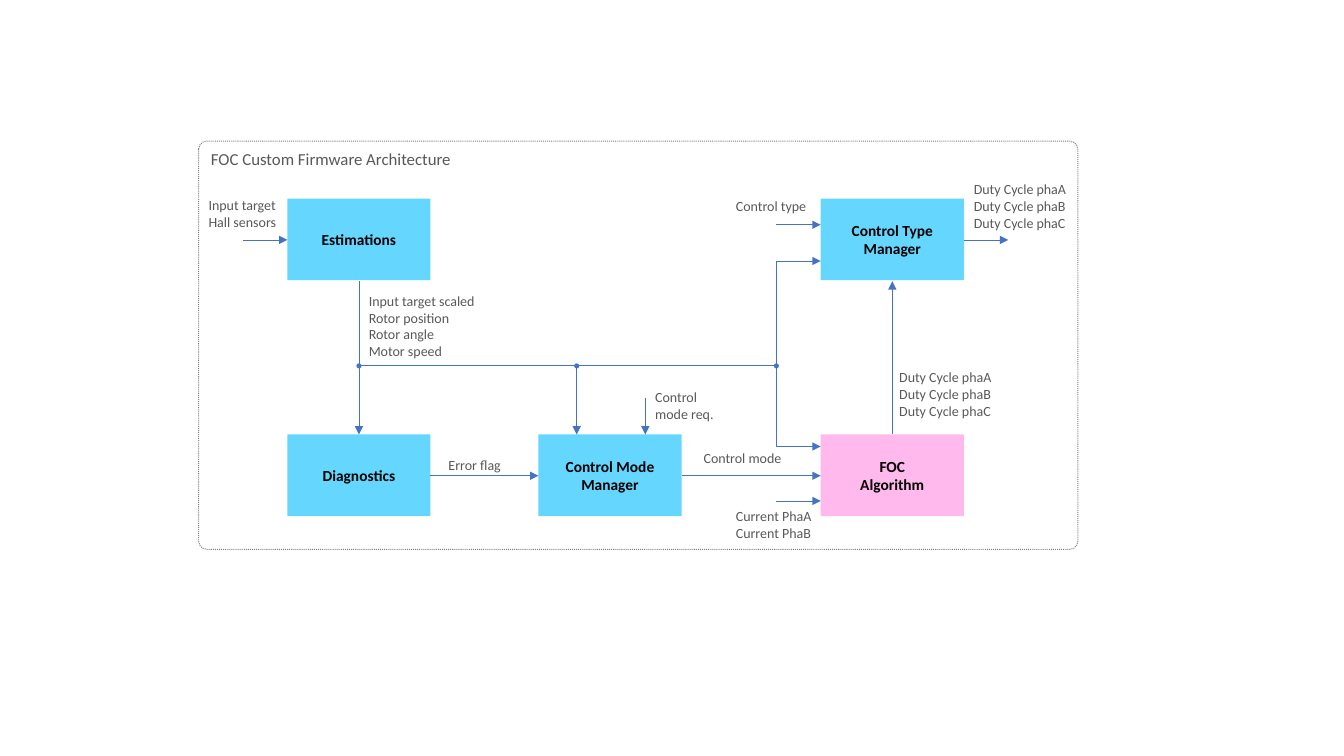
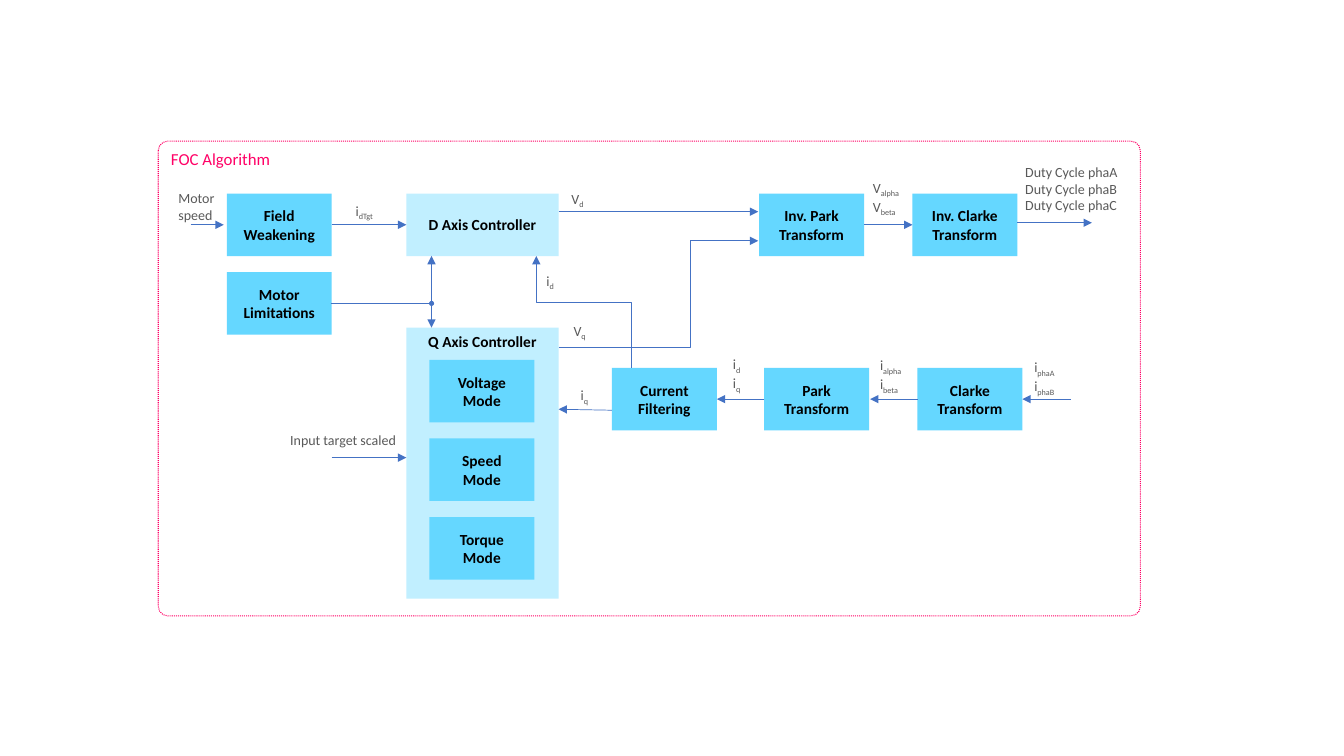
"""Build two block diagrams of a motor control firmware."""
import lxml.etree as etree
import pptx
import pptx.dml.color
import pptx.enum.dml
import pptx.enum.shapes
import pptx.enum.text
import pptx.oxml.ns
import pptx.util

Inches = pptx.util.Inches
SHAPE = pptx.enum.shapes.MSO_SHAPE
WIRE = pptx.enum.shapes.MSO_CONNECTOR
ANCHOR = pptx.enum.text.MSO_ANCHOR
ALIGN = pptx.enum.text.PP_ALIGN
qn = pptx.oxml.ns.qn

FONT = "Calibri"
BLUE, PALE, PINK = "65D7FF", "C1EFFF", "FFB9ED"
LINE, TEXT, GREY, ROSE, BLACK = "4472C4", "595959", "808080", "FF0066", "000000"
DUTY = "Duty Cycle phaA\nDuty Cycle phaB\nDuty Cycle phaC"


def color(code):
    """Turn a hex string into a colour."""
    return pptx.dml.color.RGBColor.from_string(code)


def style(frame, size, code, bold=False, align=ALIGN.LEFT):
    """Format every run of a text frame."""
    for para in frame.paragraphs:
        para.alignment = align
        for run in para.runs:
            run.font.name = FONT
            run.font.size = pptx.util.Pt(size)
            run.font.bold = bold
            run.font.color.rgb = color(code)


def shape(slide, kind, x, y, w, h, fill=None):
    """Add a flat preset shape without an outline."""
    item = slide.shapes.add_shape(kind, Inches(x), Inches(y), Inches(w), Inches(h))
    item.shadow.inherit = False
    item.line.fill.background()
    if fill:
        item.fill.solid()
        item.fill.fore_color.rgb = color(fill)
    else:
        item.fill.background()
    return item


def panel(slide, title, x, y, w, h, edge, ink):
    """Add the dotted frame with its title."""
    item = shape(slide, SHAPE.ROUNDED_RECTANGLE, x, y, w, h)
    item.adjustments[0] = 0.02
    item.line.color.rgb = color(edge)
    item.line.width = pptx.util.Pt(0.75)
    item.line.dash_style = pptx.enum.dml.MSO_LINE.ROUND_DOT
    item.text_frame.text = title
    item.text_frame.vertical_anchor = ANCHOR.TOP
    style(item.text_frame, 12, ink)


def block(slide, text, x, y, w, h, fill=BLUE, anchor=ANCHOR.MIDDLE):
    """Add a filled block with a bold centred name."""
    frame = shape(slide, SHAPE.RECTANGLE, x, y, w, h, fill).text_frame
    frame.text = text
    frame.word_wrap = True
    frame.vertical_anchor = anchor
    style(frame, 11, BLACK, True, ALIGN.CENTER)


def label(slide, text, x, y, w, h, wrap=False, inset=None):
    """Add a signal label; an underscore starts a subscript."""
    box = slide.shapes.add_textbox(Inches(x), Inches(y), Inches(w), Inches(h))
    frame = box.text_frame
    frame.word_wrap = wrap
    frame.auto_size = pptx.enum.text.MSO_AUTO_SIZE.SHAPE_TO_FIT_TEXT
    if inset is not None:
        frame.margin_left = frame.margin_right = Inches(inset)
        frame.margin_top = frame.margin_bottom = Inches(inset)
    frame.text = text.replace("_", "")
    for para, row in zip(frame.paragraphs, text.split("\n")):
        base, mark, sub = row.partition("_")
        if mark:
            para.runs[0].text = base
            run = para.add_run()
            run.text = sub
            run.font._element.set("baseline", "-25000")
    style(frame, 10, TEXT)


def arrow(slide, x1, y1, x2, y2, kind=WIRE.STRAIGHT):
    """Add a thin connector with an arrowhead at its end."""
    wire = slide.shapes.add_connector(
        kind, Inches(x1), Inches(y1), Inches(x2), Inches(y2))
    wire.line.color.rgb = color(LINE)
    wire.line.width = pptx.util.Pt(0.5)
    props = wire._element.spPr
    etree.SubElement(props.find(qn("a:ln")), qn("a:tailEnd"), type="triangle")
    etree.SubElement(props, qn("a:effectLst"))
    return wire


def elbow(slide, x1, y1, x2, y2, bend, upright=False):
    """Add a bent arrow; upright ones leave and arrive vertically."""
    if upright:
        mx, my = (x1 + x2) / 2, (y1 + y2) / 2
        dx, dy = x1 - mx, y1 - my
        x1, y1, x2, y2 = mx - dy, my + dx, mx + dy, my - dx
    props = arrow(slide, x1, y1, x2, y2, WIRE.ELBOW)._element.spPr
    if upright:
        props.find(qn("a:xfrm")).set("rot", "16200000")
    rules = props.find(qn("a:prstGeom")).find(qn("a:avLst"))
    etree.SubElement(rules, qn("a:gd"), name="adj1",
                     fmla=f"val {round(bend * 100000)}")


def dot(slide, x, y, size=0.05):
    """Mark a junction of signals."""
    shape(slide, SHAPE.OVAL, x - size / 2, y - size / 2, size, size, LINE)


def firmware(slide):
    """Draw the firmware architecture."""
    panel(slide, "FOC Custom Firmware Architecture",
          1.97, 1.4, 8.72, 4.05, GREY, TEXT)
    top, low = 1.97, 4.31
    for text, x, y, fill in (
            ("Estimations", 2.85, top, BLUE),
            ("Diagnostics", 2.85, low, BLUE),
            ("Control Mode Manager", 5.34, low, BLUE),
            ("FOC\nAlgorithm", 8.14, low, PINK),
            ("Control Type Manager", 8.14, top, BLUE)):
        block(slide, text, x, y, 1.42, 0.81, fill)
    for spec_row in (
            ("Input target\nHall sensors", 1.97, 1.9, 0.88, 0.44),
            ("Input target scaled\nRotor position\nRotor angle\nMotor speed",
             3.56, 2.85, 1.27, 0.77, True),
            ("Error flag", 4.35, 4.48, 0.73, 0.27),
            ("Control mode", 6.88, 4.41, 0.99, 0.27),
            (DUTY, 8.82, 3.61, 1.13, 0.61),
            (DUTY, 9.56, 1.74, 1.13, 0.61),
            ("Control type", 7.2, 1.91, 0.91, 0.27),
            ("Control mode req.", 6.4, 3.81, 0.79, 0.44, True),
            ("Current PhaA\nCurrent PhaB", 7.2, 4.99, 0.96, 0.44)):
        label(slide, *spec_row)
    bus = 3.63
    for ends in (
            (2.41, 2.38, 2.85, 2.38), (3.56, 2.79, 3.56, low),
            (4.27, 4.72, 5.34, 4.72), (6.76, 4.72, 8.14, 4.72),
            (6.4, 3.95, 6.4, low), (5.72, bus, 5.72, low),
            (8.85, low, 8.85, 2.79), (7.7, 2.23, 8.14, 2.23),
            (9.56, 2.38, 10, 2.38), (7.7, 4.97, 8.14, 4.97)):
        arrow(slide, *ends)
    elbow(slide, 3.56, bus, 8.14, 4.43, 0.904)
    elbow(slide, 7.7, bus, 8.14, 2.59, 0)
    for x in (3.56, 5.72, 7.7):
        dot(slide, x, bus)


def control(slide):
    """Draw the inside of the control algorithm."""
    panel(slide, "FOC Algorithm", 1.57, 1.4, 9.74, 4.71, ROSE, ROSE)
    top, low, high, step = 1.92, 3.65, 0.62, 0.78
    block(slide, "D Axis Controller", 4.03, top, 1.51, high, PALE)
    block(slide, "Q Axis Controller", 4.03, 3.25, 1.51, 2.69, PALE, ANCHOR.TOP)
    for text, x, y in (
            ("Field Weakening", 2.25, top),
            ("Motor Limitations", 2.25, top + step),
            ("Inv. Park Transform", 7.53, top),
            ("Inv. Clarke Transform", 9.05, top),
            ("Current Filtering", 6.07, low),
            ("Park Transform", 7.58, low),
            ("Clarke Transform", 9.1, low)):
        block(slide, text, x, y, 1.04, high)
    for row, text in enumerate(("Voltage Mode", "Speed\nMode", "Torque Mode")):
        block(slide, text, 4.26, 3.57 + row * step, 1.04, high)
    for signal in (
            (DUTY, 10.07, 1.57, 1.13, 0.61),
            ("Input target scaled", 2.78, 4.23, 1.3, 0.27, True),
            ("i_dTgt", 3.43, 1.96, 0.4, 0.27),
            ("i_d\ni_q", 7.17, 3.48, 0.31, 0.44, True),
            ("i_d", 5.32, 2.65, 0.28, 0.27),
            ("i_q", 5.66, 3.79, 0.28, 0.27),
            ("i_phaA\ni_phaB", 10.16, 3.51, 0.47, 0.44, True),
            ("i_alpha\ni_beta", 8.63, 3.49, 0.47, 0.44, True),
            ("V_d", 5.57, 1.84, 0.33, 0.27),
            ("V_q", 5.59, 3.15, 0.33, 0.27),
            ("V_alpha\nV_beta", 8.56, 1.73, 0.55, 0.44, True),
            ("Motor speed", 1.77, 1.88, 0.45, 0.34, True, 0)):
        label(slide, *signal)
    elbow(slide, 6.26, 3.65, 5.32, 2.54, 0.585, True)
    elbow(slide, 5.54, 3.45, 7.52, 2.39, 0.658)
    elbow(slide, 3.28, 3.01, 4.28, 2.54, 1)
    for ends in (
            (3.29, 2.23, 4.03, 2.23), (6.07, 4.07, 5.54, 4.06),
            (4.28, 3.01, 4.28, 3.25), (1.89, 2.23, 2.22, 2.23),
            (3.29, 4.54, 4.03, 4.54), (7.58, 3.96, 7.11, 3.96),
            (9.1, 3.96, 8.63, 3.96), (10.62, 3.96, 10.14, 3.96),
            (10.09, 2.21, 10.83, 2.21), (8.57, 2.23, 9.05, 2.23),
            (5.54, 2.1, 7.52, 2.1)):
        arrow(slide, *ends)
    dot(slide, 4.28, 3.01)


def main():
    """Build and save the deck."""
    deck = pptx.Presentation()
    deck.slide_width = Inches(13.33)
    deck.slide_height = Inches(7.5)
    for draw in (firmware, control):
        draw(deck.slides.add_slide(deck.slide_layouts[6]))
    deck.save("out.pptx")


main()
